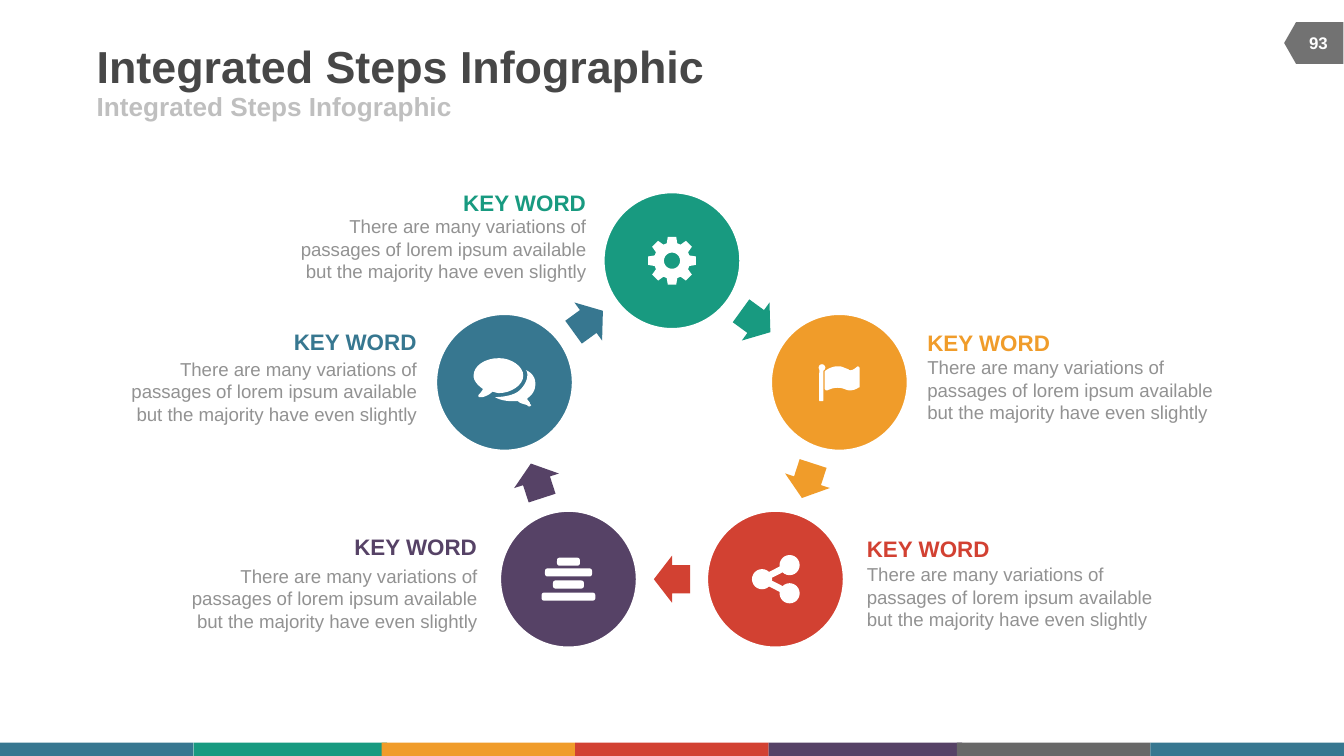
from math import cos, pi, radians, sin

from pptx import Presentation
from pptx.dml.color import RGBColor
from pptx.enum.shapes import MSO_CONNECTOR as Line, MSO_SHAPE as Kind
from pptx.enum.text import MSO_ANCHOR as Anchor, PP_ALIGN as Align
from pptx.util import Inches, Pt
from lxml.etree import SubElement
from pptx.oxml.ns import qn

HUE = {
    "blue": "377790", "green": "189A80", "amber": "F09C2A", "red": "D24132",
    "plum": "564266", "gray": "686868", "tag": "727272", "dark": "474747",
    "pale": "BFBFBF", "text": "929292", "white": "FFFFFF",
}
TITLE = "Integrated Steps Infographic"
PAGE = "93"
HEAD = "KEY WORD"
BODY = ("There are many variations of passages of lorem ipsum available "
        "but the majority have even slightly")
# Clockwise from the top: colour, text side, text edge, head top, body top
STEPS = [
    ("green", "right", 4.36, 1.41, 1.60),
    ("amber", "left", 6.90, 2.45, 2.65),
    ("red", "left", 6.45, 3.98, 4.19),
    ("plum", "right", 3.55, 3.97, 4.20),
    ("blue", "right", 3.10, 2.44, 2.66),
]
BANDS = [("blue", 0), ("green", 1.44), ("amber", 2.84), ("red", 4.28),
         ("plum", 5.72), ("gray", 7.12), ("blue", 8.56)]

# Icon outlines in 1/100 inch from the circle's centre:
# pairs are corners, sixes are Bezier curves
FLAG = [
    (15, 3), (15, 4, 15, 4, 14, 4), (13, 5, 10, 6, 8, 6), (5, 6, 3, 4, -1, 4),
    (-4, 4, -7, 5, -9, 6), (-10, 6), (-11, 5), (-11, -8), (-10, -9),
    (-7, -11, -4, -12, -1, -12), (2, -12, 3, -11, 6, -10),
    (7, -10, 7, -9, 8, -9), (11, -9, 13, -12, 14, -12), (15, -11),
]
CHAT = [
    [(-4, 8), (-6, 8, -8, 7, -9, 7), (-11, 9, -13, 10, -16, 11), (-19, 11),
     (-20, 10, -19, 9, -19, 9), (-18, 8, -17, 7, -16, 5),
     (-20, 2, -23, -1, -23, -5), (-23, -12, -15, -18, -4, -18),
     (5, -18, 14, -12, 14, -5), (14, 2, 5, 8, -4, 8)],
    [(17, 12), (17, 14, 19, 14, 19, 16), (20, 17), (19, 18),
     (19, 18, 17, 18, 17, 17), (14, 16, 12, 16, 10, 14), (8, 14, 7, 14, 5, 14),
     (1, 14, -4, 13, -7, 11), (1, 11, 7, 9, 10, 7), (14, 4, 17, -1, 17, -5),
     (17, -7, 17, -8, 16, -9), (21, -7, 23, -3, 23, 1), (23, 6, 21, 9, 17, 12)],
]
BARS = [(17, -16), (35, -8), (23, 1), (40, 10)]  # width, top
NODES = [(-10, 0), (10.5, -10.5), (10.5, 10.5)]

WIDE = 10
TALL = WIDE * 9 / 16
MID = (5, 3.25)
RING, DISC = 1.31, 1.03
GRAIN = 100  # freeform units in 1/100 inch

deck = Presentation()
deck.slide_width, deck.slide_height = Inches(WIDE), Inches(TALL)
slide = deck.slides.add_slide(deck.slide_layouts[6])
shapes = slide.shapes


def paint(shape, hue):
    shape.shadow.inherit = False
    shape.fill.solid()
    shape.fill.fore_color.rgb = RGBColor.from_string(HUE[hue])
    shape.line.fill.background()
    return shape


def add(kind, x, y, w, h, hue):
    return paint(shapes.add_shape(kind, *map(Inches, (x, y, w, h))), hue)


def center(kind, x, y, w, h, hue):
    return add(kind, x - w / 2, y - h / 2, w, h, hue)


def write(text, x, y, w, h, size, hue, bold=True, align=Align.LEFT, wrap=False):
    frame = shapes.add_textbox(*map(Inches, (x, y, w, h))).text_frame
    frame.margin_left = frame.margin_right = 0
    frame.margin_top = frame.margin_bottom = 0
    frame.vertical_anchor, frame.word_wrap = Anchor.MIDDLE, wrap
    frame.text = text
    para = frame.paragraphs[0]
    para.alignment = align
    font = para.runs[0].font
    font.name, font.size, font.bold = "Arial", Pt(size), bold
    font.color.rgb = RGBColor.from_string(HUE[hue])


def around(turn, far):
    """Point at a clockwise angle from the top, at a distance from 0, 0."""
    return far * sin(radians(turn)), -far * cos(radians(turn))


def flatten(parts, steps=8):
    """Turn corners and Bezier curves into a list of points."""
    dots = []
    for part in parts:
        if len(part) == 2:
            dots.append(part)
            continue
        a, b, c, d = dots[-1], part[:2], part[2:4], part[4:]
        for n in range(1, steps + 1):
            t = n / steps
            u = 1 - t
            dots.append(tuple(
                u**3 * a[i] + 3 * u * u * t * b[i] + 3 * u * t * t * c[i] + t**3 * d[i]
                for i in (0, 1)))
    return dots


def outline(x, y, *loops):
    """Draw white closed loops, given in 1/100 inch, as one shape."""
    loops = [[((x * 100 + p) * GRAIN, (y * 100 + q) * GRAIN) for p, q in loop]
             for loop in loops]
    form = shapes.build_freeform(*loops[0][0], scale=Inches(0.01) / GRAIN)
    for n, loop in enumerate(loops):
        if n:
            form.move_to(*loop[0])
        form.add_line_segments(loop[1:], close=True)
    paint(form.convert_to_shape(), "white")


def gear(x, y):
    teeth = [around(45 * n + turn, far) for n in range(8)
             for turn, far in ((-17, 13.5), (-10, 18), (10, 18), (17, 13.5))]
    outline(x, y, teeth, [around(10 * n, 6) for n in range(36)])


def flag(x, y):
    center(Kind.OVAL, x - 0.13, y - 0.11, 0.05, 0.05, "white")
    add(Kind.ROUNDED_RECTANGLE, x - 0.15, y - 0.11, 0.03, 0.25, "white")
    outline(x, y, flatten(FLAG))


def share(x, y):
    spots = [(x + p / 100, y + q / 100) for p, q in NODES]
    for spot in spots[1:]:
        link = shapes.add_connector(Line.STRAIGHT, *map(Inches, spots[0] + spot))
        link.line.width = Pt(3.5)
        link.line.color.rgb = RGBColor.from_string(HUE["white"])
        SubElement(link._element.spPr, qn("a:effectLst"))
    for spot in spots:
        center(Kind.OVAL, *spot, 0.15, 0.15, "white")


def stack(x, y):
    for wide, top in BARS:
        w = wide / 100
        bar = add(Kind.ROUNDED_RECTANGLE, x - w / 2, y + top / 100, w, 0.06, "white")
        bar.adjustments[0] = 0.3


def chat(x, y):
    outline(x, y, *map(flatten, CHAT))


for hue, left in BANDS:
    add(Kind.RECTANGLE, left, TALL - 0.1, 1.44, 0.1, hue)
add(Kind.FLOWCHART_OFFPAGE_CONNECTOR, 9.62, 0.1, 0.31, 0.44, "tag").rotation = 90
write(TITLE, 0.72, 0.29, 6.17, 0.39, 24, "dark")
write(TITLE, 0.72, 0.68, 4.5, 0.22, 14, "pale")
write(PAGE, 9.6, 0.17, 0.42, 0.3, 9, "white", align=Align.CENTER)

turn = 360 / len(STEPS)
for n, (step, icon) in enumerate(zip(STEPS, (gear, flag, share, stack, chat))):
    hue, side, edge, top, low = step
    right = side == "right"
    align = Align.RIGHT if right else Align.LEFT
    for text, y, w, h, size, ink, bold in (
            (HEAD, top, 0.92, 0.2, 12, hue, True),
            (BODY, low, 2.13, 0.5, 10, "text", False)):
        write(text, edge - w * right, y, w, h, size, ink, bold, align, not bold)

    dx, dy = around(n * turn, RING)
    x, y = MID[0] + dx, MID[1] + dy
    disc = center(Kind.OVAL, x, y, DISC, DISC, hue)
    disc.line.width = Pt(2)
    disc.line.color.rgb = RGBColor.from_string(HUE["white"])
    icon(x, y)

    tilt = (n + 0.5) * turn
    dx, dy = around(tilt, RING * cos(pi / len(STEPS)))
    arrow = center(Kind.RIGHT_ARROW, MID[0] + dx, MID[1] + dy, 0.27, 0.35, hue)
    arrow.rotation = tilt
    arrow.adjustments[0], arrow.adjustments[1] = 0.6, 0.5

deck.save("out.pptx")
